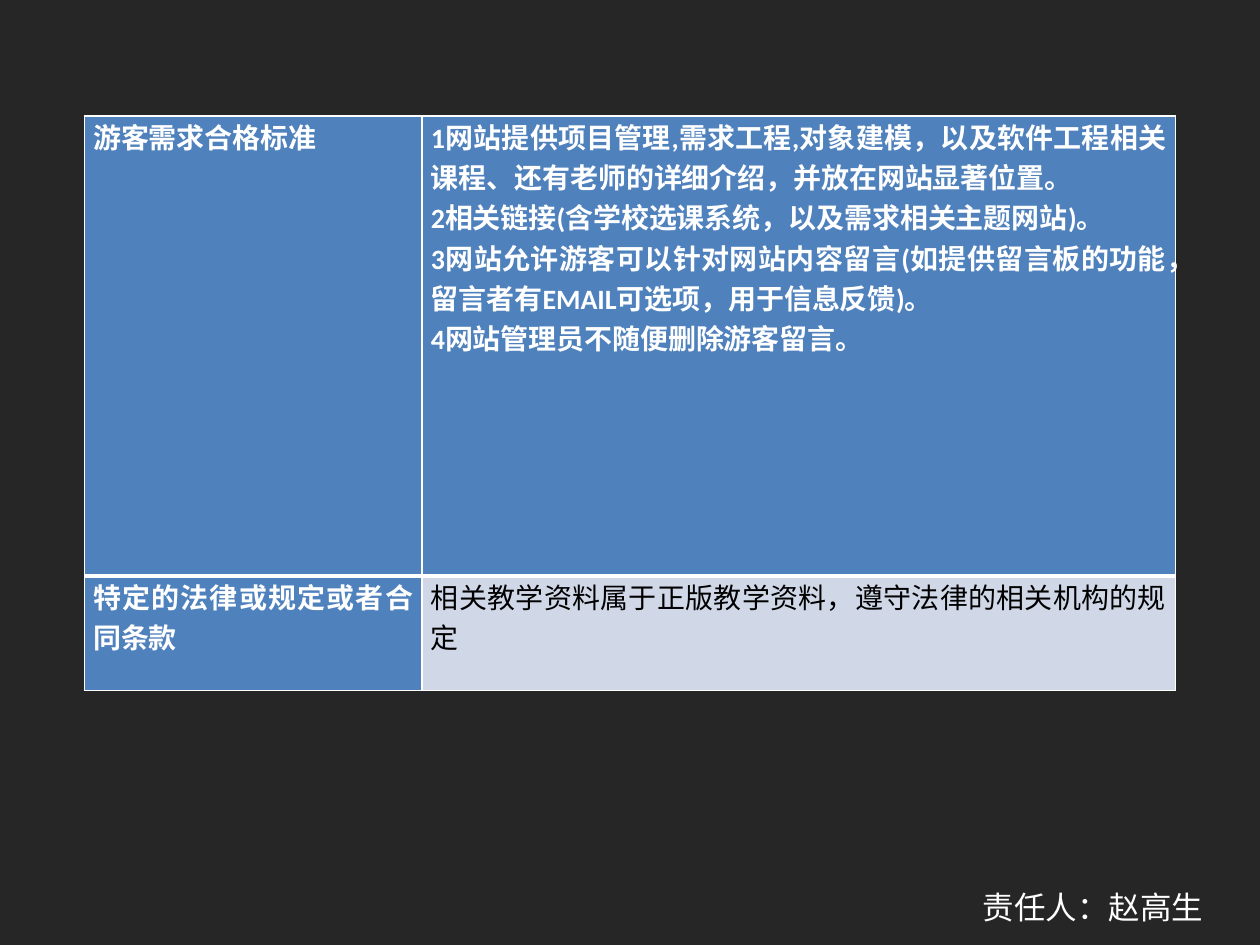
from dataclasses import dataclass

from lxml.etree import SubElement
from pptx import Presentation
from pptx.dml.color import RGBColor
from pptx.enum.text import MSO_AUTO_SIZE, PP_ALIGN
from pptx.oxml.ns import qn
from pptx.slide import Slide
from pptx.table import _Cell as Cell
from pptx.text.text import _Paragraph as Paragraph
from pptx.util import Inches, Pt


@dataclass(frozen=True)
class Theme:
    background: str = "262626"
    light: str = "FFFFFF"
    dark: str = "000000"
    header_fill: str = "4F81BD"
    body_fill: str = "D0D8E8"
    font: str = "Calibri"
    table_size: int = 16
    caption_size: int = 18
    thin_line: int = 1
    thick_line: int = 3


@dataclass(frozen=True)
class CellContent:
    lines: tuple[str, ...]
    is_header: bool = True


THEME = Theme()
COLUMN_WIDTHS = (2.68, 5.98)
ROW_HEIGHTS = (3.65, 0.91)
REQUIREMENTS = (
    (
        CellContent(("游客需求合格标准",)),
        CellContent((
            "1网站提供项目管理,需求工程,对象建模，以及软件工程相关课程、还有老师的详细介绍，并放在网站显著位置。",
            "2相关链接(含学校选课系统，以及需求相关主题网站)。",
            "3网站允许游客可以针对网站内容留言(如提供留言板的功能，留言者有EMAIL可选项，用于信息反馈)。",
            "4网站管理员不随便删除游客留言。",
        )),
    ),
    (
        CellContent(("特定的法律或规定或者合同条款",)),
        CellContent(("相关教学资料属于正版教学资料，遵守法律的相关机构的规定",), is_header=False),
    ),
)


def style_font(paragraph: Paragraph, size: int, color: str, bold: bool = False) -> None:
    font = paragraph.font
    font.name = THEME.font
    font.size = Pt(size)
    font.bold = bold
    font.color.rgb = RGBColor.from_string(color)


def set_borders(cell: Cell, top: int, bottom: int) -> None:
    """Draw light borders; must run before the cell's fill is set."""
    properties = cell._tc.get_or_add_tcPr()
    widths = {"L": THEME.thin_line, "R": THEME.thin_line, "T": top, "B": bottom}
    for side, width in widths.items():
        line = SubElement(properties, qn(f"a:ln{side}"), w=str(Pt(width)))
        fill = SubElement(line, qn("a:solidFill"))
        SubElement(fill, qn("a:srgbClr"), val=THEME.light)


def fill_cell(cell: Cell, content: CellContent) -> None:
    cell.margin_left = cell.margin_right = Inches(0.07)
    cell.margin_top = cell.margin_bottom = 0
    cell.fill.solid()
    fill_color = THEME.header_fill if content.is_header else THEME.body_fill
    cell.fill.fore_color.rgb = RGBColor.from_string(fill_color)
    cell.text = "\n".join(content.lines)
    text_color = THEME.light if content.is_header else THEME.dark
    for paragraph in cell.text_frame.paragraphs:
        paragraph.alignment = PP_ALIGN.JUSTIFY
        style_font(paragraph, THEME.table_size, text_color, content.is_header)


def add_requirements_table(slide: Slide) -> None:
    table = slide.shapes.add_table(
        len(ROW_HEIGHTS), len(COLUMN_WIDTHS), Inches(0.67), Inches(0.92),
        Inches(sum(COLUMN_WIDTHS)), Inches(sum(ROW_HEIGHTS)),
    ).table
    for column, width in zip(table.columns, COLUMN_WIDTHS):
        column.width = Inches(width)
    for row, height in zip(table.rows, ROW_HEIGHTS):
        row.height = Inches(height)
    for row_index, contents in enumerate(REQUIREMENTS):
        top = THEME.thick_line if row_index == 1 else THEME.thin_line
        bottom = THEME.thick_line if row_index == 0 else THEME.thin_line
        for column_index, content in enumerate(contents):
            cell = table.cell(row_index, column_index)
            set_borders(cell, top, bottom)
            fill_cell(cell, content)


def add_caption(slide: Slide, text: str) -> None:
    text_box = slide.shapes.add_textbox(Inches(7.7), Inches(7), Inches(2.3), Inches(0.4))
    text_frame = text_box.text_frame
    text_frame.word_wrap = True
    text_frame.auto_size = MSO_AUTO_SIZE.SHAPE_TO_FIT_TEXT
    text_frame.text = text
    style_font(text_frame.paragraphs[0], THEME.caption_size, THEME.light)


def main() -> None:
    presentation = Presentation()
    presentation.slide_width = Inches(10)
    presentation.slide_height = Inches(7.5)
    slide = presentation.slides.add_slide(presentation.slide_layouts[6])
    slide.background.fill.solid()
    slide.background.fill.fore_color.rgb = RGBColor.from_string(THEME.background)
    add_requirements_table(slide)
    add_caption(slide, "责任人：赵高生")
    presentation.save("out.pptx")


if __name__ == "__main__":
    main()
